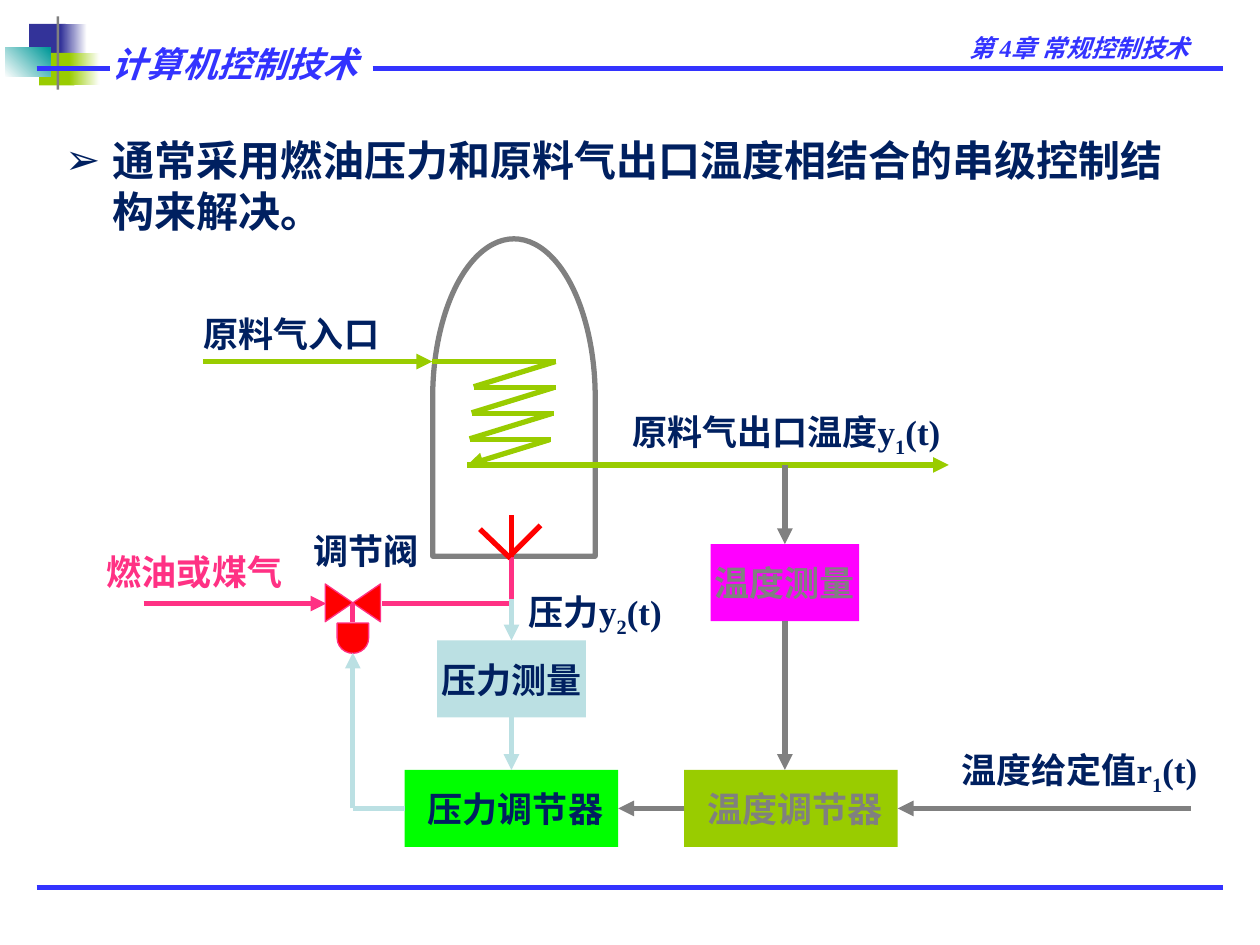
import pptx
import pptx.util
import pptx.dml.color
import pptx.enum.shapes
import pptx.enum.text
import pptx.oxml

Pt = pptx.util.Pt
KIND = pptx.enum.shapes.MSO_SHAPE
ALIGN = pptx.enum.text.PP_ALIGN
MIDDLE = pptx.enum.text.MSO_ANCHOR.MIDDLE
NS = 'xmlns:a="http://schemas.openxmlformats.org/drawingml/2006/main"'
NAVY, BLUE, GRAY, LIME = "002060", "3333FF", "808080", "99CC00"
PINK, RED, PALE = "FF3184", "FF0000", "BBE0E3"
BASE = {"size": Pt(20), "name": "Times New Roman", "bold": True}
HEAD = {**BASE, "italic": True}


def paint(color, code):
    color.rgb = pptx.dml.color.RGBColor.from_string(code)


def add_xml(parent, text):
    node = pptx.oxml.parse_xml(text)
    parent.append(node)
    return node


def add_run(para, text, code, form, base=None):
    run = para.add_run()
    run.text = text
    for key, value in form.items():
        setattr(run.font, key, value)
    paint(run.font.color, code)
    if base:
        run.font._element.set("baseline", str(base))


def label(slide, at, text, code=NAVY, form=BASE, sub=None, align=ALIGN.LEFT):
    box = slide.shapes.add_textbox(*map(Pt, at))
    box.text_frame.word_wrap = True
    para = box.text_frame.paragraphs[0]
    para.alignment = align
    add_run(para, text, code, form)
    if sub:
        add_run(para, sub, code, form, -25000)
        add_run(para, "(t)", code, form)
    return para


def shape(slide, kind, at, fill=None, edge=None, width=0.75, turn=0):
    item = slide.shapes.add_shape(kind, *map(Pt, at))
    item.shadow.inherit = False
    item.rotation = turn
    if fill:
        item.fill.solid()
        paint(item.fill.fore_color, fill)
    else:
        item.fill.background()
    if edge:
        paint(item.line.color, edge)
        item.line.width = Pt(width)
    else:
        item.line.fill.background()
    return item


def blend(slide, at, codes, angle=0):
    item = shape(slide, KIND.RECTANGLE, at)
    item.fill.gradient()
    item.fill.gradient_angle = angle
    for stop, code, place in zip(item.fill.gradient_stops, codes, (0, 1)):
        paint(stop.color, code)
        stop.position = place


def block(slide, at, fill, text, code):
    item = shape(slide, KIND.RECTANGLE, at, fill)
    frame = item.text_frame
    frame.word_wrap = False
    frame.vertical_anchor = MIDDLE
    frame.paragraphs[0].alignment = ALIGN.CENTER
    add_run(frame.paragraphs[0], text, code, BASE)
    return item


def line(slide, ends, code, arrow=False, begin=None, end=None):
    item = slide.shapes.add_connector(
        pptx.enum.shapes.MSO_CONNECTOR.STRAIGHT, *map(Pt, ends))
    paint(item.line.color, code)
    item.line.width = Pt(3)
    if arrow:
        add_xml(item.line._get_or_add_ln(), f'<a:tailEnd {NS} type="triangle"/>')
    add_xml(item._element.spPr, f"<a:effectLst {NS}/>")
    if begin:
        item.begin_connect(*begin)
    if end:
        item.end_connect(*end)


def header(slide):
    rect = KIND.RECTANGLE
    shape(slide, rect, (16.6, 13.7, 20.9, 18.7), "333399")
    blend(slide, (34.6, 13.7, 15.1, 18.7), ("333399", "FFFFFF"))
    shape(slide, rect, (22.3, 30.2, 20.2, 18.7), LIME)
    blend(slide, (39.6, 30.2, 17.3, 18.7), (LIME, "FFFFFF"))
    blend(slide, (2.9, 27.4, 25.9, 16.6), ("FFFFFF", "009999"), 45)
    shape(slide, rect, (32.4, 9.4, 1.4, 41.8), GRAY)
    for left, right, y in ((213, 699, 39), (21, 699, 507), (21, 62.6, 39)):
        line(slide, (left, y, right, y), BLUE)
    label(slide, (386.6, 15.1, 300.2, 24.5), "第 4章 常规控制技术", BLUE,
          {**HEAD, "size": Pt(14)}, align=ALIGN.RIGHT)
    label(slide, (56.9, 20.9, 174.2, 31), "计算机控制技术", BLUE, HEAD)


def lead(slide):
    para = label(slide, (30.2, 73.4, 646.6, 61.2),
                 "通常采用燃油压力和原料气出口温度相结合的串级控制结构来解决。",
                 form={**BASE, "size": Pt(24), "name": "Arial"})
    props = para._p.get_or_add_pPr()
    props.set("marL", str(Pt(27)))
    props.set("indent", str(-Pt(27)))
    add_xml(props, f'<a:buFont {NS} typeface="Arial"/>')
    add_xml(props, f'<a:buChar {NS} char="➢"/>')


def furnace(slide):
    shape(slide, KIND.FLOWCHART_DELAY, (203, 180.7, 181.4, 92.9),
          None, GRAY, 3, 270)
    line(slide, (115.9, 206.6, 247, 206.6), LIME, True)
    line(slide, (247, 206.6, 317.5, 206.6), LIME)
    for turn in range(4):
        x, y = 317.5 - 1.2 * turn, 206.6 + 14.9 * turn
        last = turn == 3
        line(slide, (x, y, x - 46.8, y + 14.4), LIME, last)
        if not last:
            line(slide, (x - 46.8, y + 14.9, x, y + 14.9), LIME)
    line(slide, (267.1, 265.7, 542.2, 265.7), LIME, True)


def valve(slide):
    line(slide, (292.3, 318.2, 292.3, 344.9), PINK)
    line(slide, (292.3, 344.9, 218.2, 344.9), PINK)
    for left, turn in ((198.7, 270), (182.9, 90)):
        shape(slide, KIND.FLOWCHART_EXTRACT, (left, 336.6, 21.6, 15.8),
              RED, PINK, turn=turn)
    line(slide, (201.6, 344.9, 201.6, 355.7), PINK)
    shape(slide, KIND.FLOWCHART_DELAY, (193, 355.7, 17.3, 18),
          RED, PINK, turn=90)
    line(slide, (82.1, 344.9, 186.5, 344.9), PINK, True)


def flame(slide):
    for ends in ((292.3, 294.5, 292.3, 318.2), (308.9, 300.2, 291.6, 317.5),
                 (291.6, 319, 274.3, 302.4)):
        line(slide, ends, RED)


def loop(slide):
    heat = block(slide, (391, 440, 122, 44), LIME, " 温度调节器", GRAY)
    sense = block(slide, (406, 311, 85, 44), "FF00FF", "温度测量", GRAY)
    gauge = block(slide, (249.8, 366, 85, 44), PALE, "压力测量", NAVY)
    press = block(slide, (231.3, 440, 122, 44), "00FF00", " 压力调节器", NAVY)
    line(slide, (448.5, 265.7, 448.5, 311), GRAY, True, end=(sense, 0))
    line(slide, (448.5, 355, 448.5, 440), GRAY, True, begin=(sense, 2))
    line(slide, (680.4, 462, 513, 462), GRAY, True, end=(heat, 3))
    line(slide, (391, 462, 353.3, 462), GRAY, True, (heat, 1), (press, 3))
    line(slide, (292.3, 342, 292.3, 366), PALE, True, end=(gauge, 0))
    line(slide, (292.3, 410, 292.3, 440), PALE, True, (gauge, 2), (press, 0))
    line(slide, (231.3, 462, 201.6, 462), PALE, begin=(press, 1))
    line(slide, (201.6, 462, 201.6, 373), PALE, True)


def names(slide):
    for x, y, width, text, code, sub in (
            (109.4, 175, 121, "原料气入口", NAVY, None),
            (354.2, 231.1, 203.8, "原料气出口温度y", NAVY, "1"),
            (54, 311, 121, "燃油或煤气", PINK, None),
            (172.1, 298.8, 74.9, "调节阀", NAVY, None),
            (542.2, 424.1, 170, "温度给定值r", NAVY, "1"),
            (295.2, 334.1, 95.8, "压力y", NAVY, "2")):
        label(slide, (x, y, width, 31.7), text, code, sub=sub)


def main():
    deck = pptx.Presentation()
    deck.slide_width, deck.slide_height = Pt(720), Pt(540)
    slide = deck.slides.add_slide(deck.slide_layouts[6])
    for draw in (header, lead, furnace, valve, flame, loop, names):
        draw(slide)
    deck.save("out.pptx")


if __name__ == "__main__":
    main()
